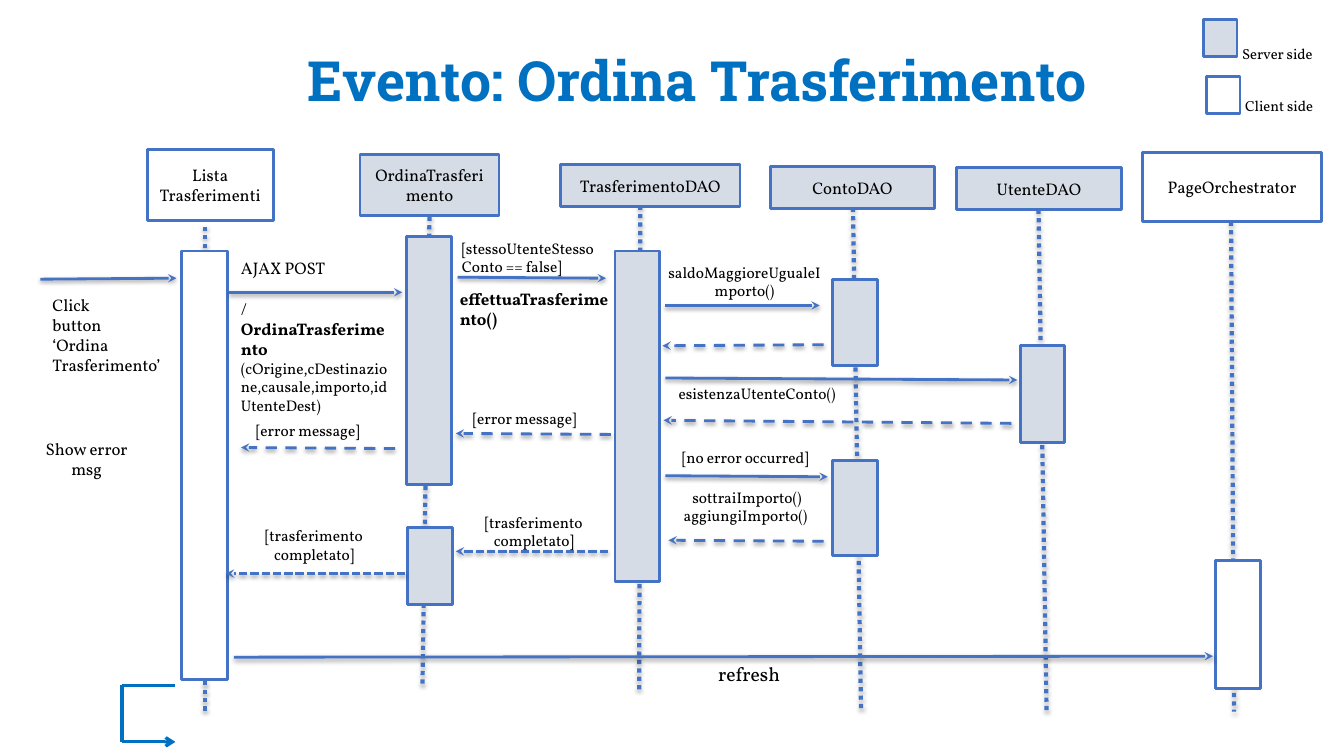
from dataclasses import dataclass
from lxml.etree import SubElement
from pptx import Presentation
from pptx.dml.color import RGBColor
from pptx.enum.dml import MSO_LINE
from pptx.enum.shapes import MSO_CONNECTOR, MSO_SHAPE
from pptx.enum.text import MSO_ANCHOR, PP_ALIGN
from pptx.oxml.ns import qn
from pptx.util import Inches, Pt


@dataclass
class Theme:
    server = RGBColor(0xD6, 0xDC, 0xE5)
    client = RGBColor(0xFF, 0xFF, 0xFF)
    outline = RGBColor(0x44, 0x72, 0xC4)
    accent = RGBColor(0x00, 0x70, 0xC0)
    ink = RGBColor(0x00, 0x00, 0x00)
    body_font = "Vollkorn"
    title_font = "Roboto Slab"
    title = 39.6
    large = 14
    body = 12
    small = 11
    legend = 10.5


theme = Theme()
LEFT, CENTER = PP_ALIGN.LEFT, PP_ALIGN.CENTER

deck = Presentation()
deck.slide_width, deck.slide_height = Inches(13.33), Inches(7.5)
page = deck.slides.add_slide(deck.slide_layouts[6])


def write(box, paragraphs, size, align, gap=0, font=theme.body_font, color=theme.ink):
    """Each paragraph is a list of (text, bold) or (text, bold, size); gap precedes the second."""
    frame = box.text_frame
    frame.word_wrap = True
    frame.margin_left = frame.margin_right = Inches(0.12)
    frame.margin_top = frame.margin_bottom = Inches(0.06)
    for index, spans in enumerate(paragraphs):
        para = frame.add_paragraph() if index else frame.paragraphs[0]
        para.alignment = align
        if index == 1 and gap:
            para.space_before = Pt(gap)
        for text, bold, *own_size in spans:
            span = para.add_run()
            span.text = text
            span.font.name = font
            span.font.size = Pt(own_size[0] if own_size else size)
            span.font.bold = bold
            span.font.color.rgb = color
    return frame


def draw_line(points, color=theme.outline, width=2, dash=None, head=None, shadow=None):
    """Draws a connector; shadow is (opacity in percent, distance in points)."""
    line = page.shapes.add_connector(MSO_CONNECTOR.STRAIGHT, *map(Inches, points))
    line.line.color.rgb = color
    line.line.width = Pt(width)
    if dash:
        line.line.dash_style = dash
    properties = line._element.spPr
    if head:
        SubElement(properties.find(qn("a:ln")), qn("a:tailEnd"), type=head)
    effects = SubElement(properties, qn("a:effectLst"))
    if shadow:
        opacity, distance = shadow
        outer = SubElement(effects, qn("a:outerShdw"), blurRad=str(Pt(3.1)),
                           dist=str(Pt(distance)), dir="5400000", rotWithShape="0")
        tint = SubElement(outer, qn("a:srgbClr"), val="000000")
        SubElement(tint, qn("a:alpha"), val=str(opacity * 1000))


# Title
title = page.shapes.add_textbox(Inches(2.08), Inches(0.25), Inches(9.67), Inches(0.92))
frame = write(title, [[("Evento: Ordina Trasferimento", True)]], theme.title, CENTER,
              font=theme.title_font, color=theme.accent)
frame.vertical_anchor = MSO_ANCHOR.BOTTOM
frame.margin_top = frame.margin_bottom = Inches(0.05)
frame.paragraphs[0].line_spacing = 0.9

# Lifelines
for points in [
    (2.03, 2.25, 2.03, 7.09),
    (4.26, 2.15, 4.19, 6.8),
    (6.35, 2.04, 6.34, 6.85),
    (8.46, 2.06, 8.54, 7.04),
    (10.3, 2.08, 10.38, 7.05),
    (12.21, 2.2, 12.24, 7.06),
]:
    draw_line(points, width=3, dash=MSO_LINE.ROUND_DOT, shadow=(35, 1.8))

# Participants, activation bars and legend swatches
for left, top, width, height, fill, name in [
    (1.46, 1.48, 1.25, 0.71, theme.client, "Lista Trasferimenti"),
    (3.57, 1.53, 1.38, 0.61, theme.server, "OrdinaTrasferimento"),
    (5.56, 1.63, 1.78, 0.42, theme.server, "TrasferimentoDAO"),
    (7.64, 1.65, 1.63, 0.42, theme.server, "ContoDAO"),
    (9.49, 1.66, 1.63, 0.42, theme.server, "UtenteDAO"),
    (11.33, 1.51, 1.78, 0.69, theme.client, "PageOrchestrator"),
    (1.8, 2.49, 0.46, 4.25, theme.client, None),
    (4.03, 2.35, 0.45, 2.46, theme.server, None),
    (4.04, 5.23, 0.45, 0.77, theme.server, None),
    (6.1, 2.49, 0.44, 3.28, theme.server, None),
    (8.26, 2.77, 0.44, 0.86, theme.server, None),
    (8.26, 4.57, 0.44, 0.94, theme.server, None),
    (10.12, 3.43, 0.44, 0.96, theme.server, None),
    (12.06, 5.56, 0.44, 1.27, theme.client, None),
    (11.94, 0.19, 0.33, 0.37, theme.server, None),
    (11.97, 0.76, 0.33, 0.37, theme.client, None),
]:
    box = page.shapes.add_shape(MSO_SHAPE.RECTANGLE, *map(Inches, (left, top, width, height)))
    box.shadow.inherit = False
    box.fill.solid()
    box.fill.fore_color.rgb = fill
    box.line.color.rgb = theme.outline
    box.line.width = Pt(2)
    if name:
        frame = write(box, [[(name, False)]], theme.body, CENTER)
        frame.vertical_anchor = MSO_ANCHOR.MIDDLE

# Messages: calls are solid, replies dashed
calls = [
    (0.4, 2.77, 1.75, 2.76),
    (2.27, 2.9, 3.99, 2.9),
    (4.54, 2.75, 6.01, 2.76),
    (6.6, 3.03, 8.13, 3.03),
    (6.6, 3.75, 10.09, 3.77),
    (6.6, 4.72, 8.21, 4.73),
    (2.32, 6.52, 12.03, 6.51),
]
errors = [
    (8.17, 3.42, 6.57, 3.43),
    (10.03, 4.2, 6.58, 4.17),
    (8.17, 5.37, 6.63, 5.36),
    (6.06, 4.31, 4.52, 4.3),
    (3.92, 4.45, 2.39, 4.44),
]
completions = [(6.03, 5.47, 4.52, 5.47), (4.02, 5.69, 2.24, 5.69)]
for messages, dash in [(calls, None), (errors, MSO_LINE.DASH),
                       (completions, MSO_LINE.SQUARE_DOT)]:
    for points in messages:
        draw_line(points, dash=dash, head="stealth", shadow=(38, 1.6))

# Return loop below the first lifeline
for points, head in [
    ((1.74, 6.8, 1.21, 6.8), None),
    ((1.21, 6.8, 1.21, 7.36), None),
    ((1.21, 7.36, 1.74, 7.36), "arrow"),
]:
    draw_line(points, color=theme.accent, width=2.25, head=head)

# Message labels and legend
error = [[("[error message]", False)]]
completed = [[("[trasferimento completato]", False)]]
for place, size, align, gap, paragraphs in [
    ((0.4, 2.86, 1.35, 0.84), theme.body, LEFT, 0,
     [[("Click", False)], [("button", False)], [("‘Ordina", False)],
      [("Trasferimento’", False)]]),
    ((0.26, 4.29, 1.2, 0.61), theme.body, CENTER, 0, [[("Show error msg", False)]]),
    ((2.27, 2.5, 1.77, 2.32), theme.body, LEFT, 14.4,
     [[("AJAX POST", False)],
      [("/", False), ("OrdinaTrasferimento", True)],
      [("(cOrigine,cDestinazione,causale,importo,idUtenteDest)", False, theme.small)]]),
    ((4.46, 2.31, 1.62, 0.84), theme.small, LEFT, 0,
     [[("[stessoUtenteStessoConto == false]", False)]]),
    ((4.44, 2.8, 1.72, 1), theme.body, LEFT, 0, [[("effettuaTrasferimento()", True)]]),
    ((6.5, 2.55, 1.77, 0.84), theme.small, CENTER, 0,
     [[("saldoMaggioreUgualeImporto()", False)]]),
    ((6.32, 3.75, 2.38, 0.84), theme.small, CENTER, 0, [[("esistenzaUtenteConto()", False)]]),
    ((6.51, 4.39, 1.77, 0.84), theme.small, CENTER, 15,
     [[("[no error occurred]", False)], [(" sottraiImporto()", False)],
      [("aggiungiImporto()", False)]]),
    ((4.39, 4, 1.63, 0.61), theme.small, CENTER, 0, error),
    ((2.24, 4.12, 1.63, 0.61), theme.small, CENTER, 0, error),
    ((4.48, 5.03, 1.63, 0.61), theme.small, CENTER, 0, completed),
    ((2.3, 5.16, 1.63, 0.61), theme.small, CENTER, 0, completed),
    ((6.09, 6.51, 2.68, 0.4), theme.large, CENTER, 0, [[("refresh", False)]]),
    ((12.2, 0.38, 1.13, 0.29), theme.legend, LEFT, 0, [[("Server side", False)]]),
    ((12.23, 0.9, 1.1, 0.29), theme.legend, LEFT, 0, [[("Client side", False)]]),
]:
    label = page.shapes.add_textbox(*map(Inches, place))
    write(label, paragraphs, size, align, gap)

deck.save("out.pptx")
